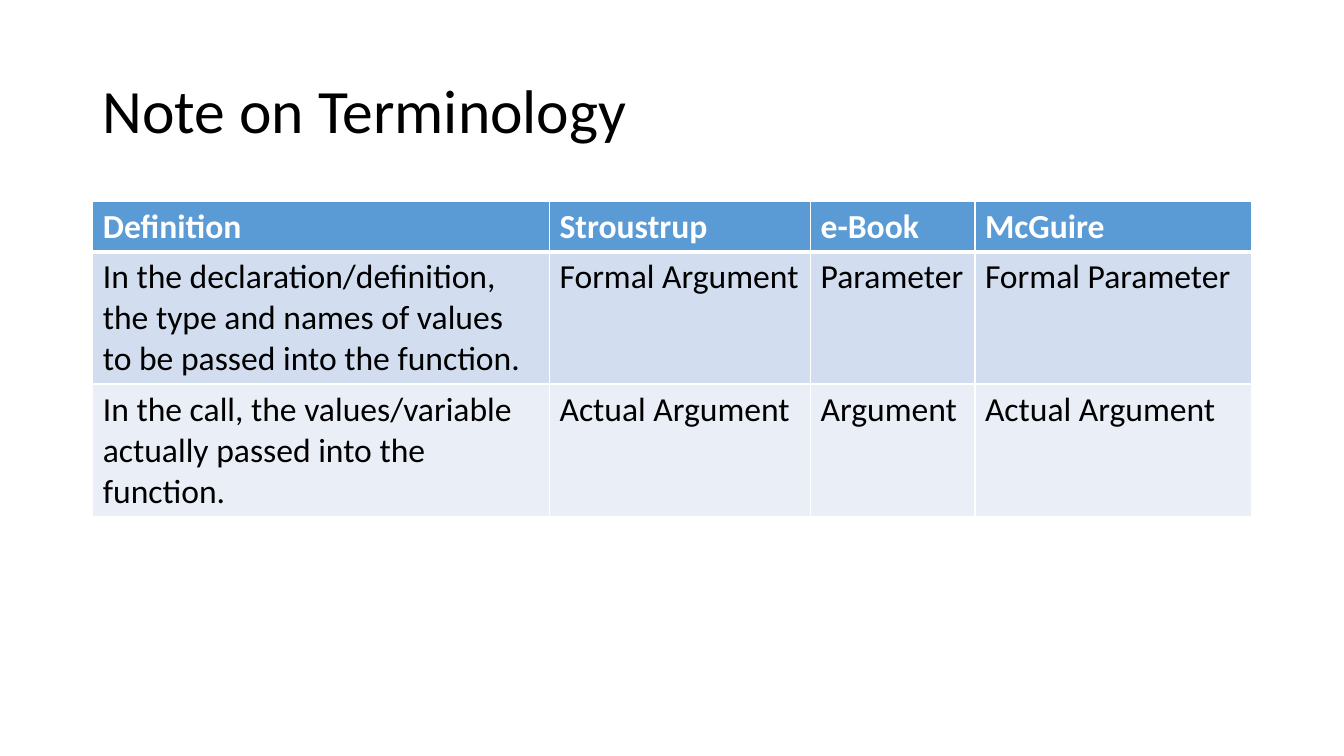
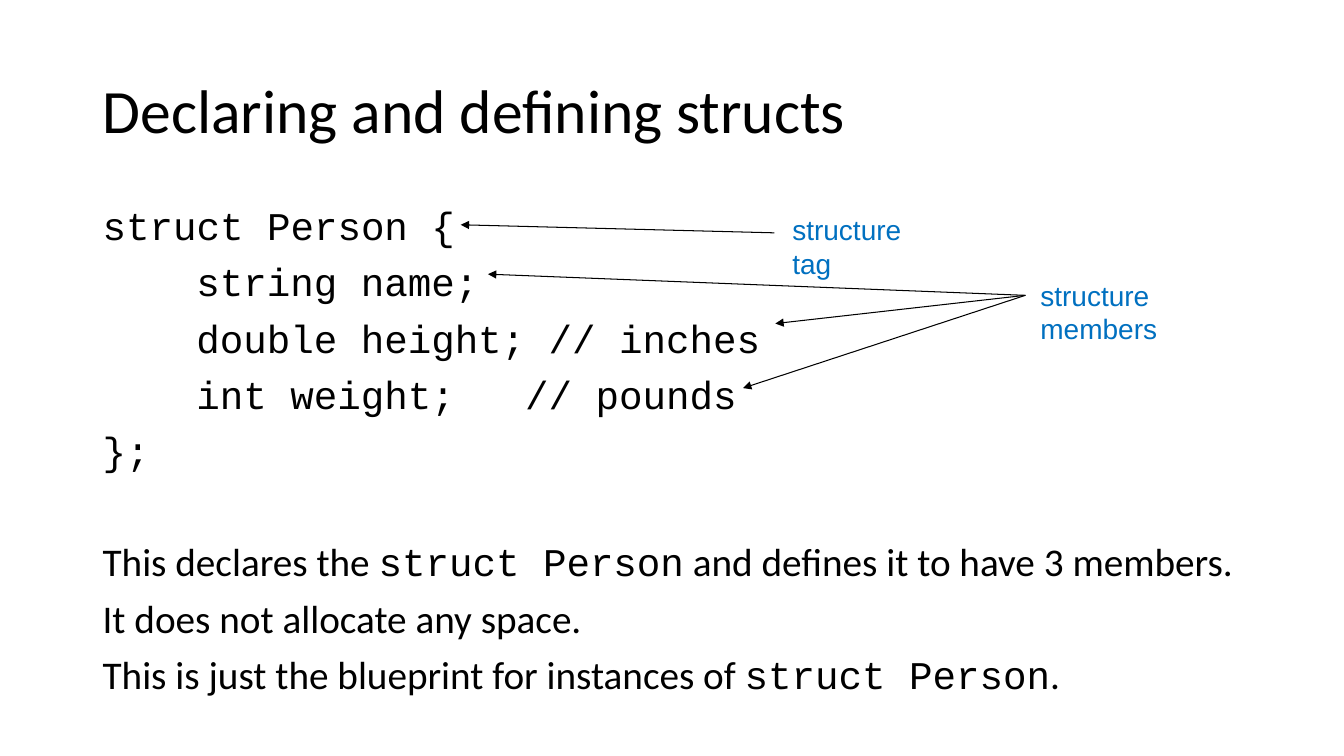
import pptx
import pptx.dml.color
import pptx.enum.shapes
import pptx.enum.text
import pptx.oxml.ns
import pptx.util
from lxml import etree

Inches = pptx.util.Inches
Pt = pptx.util.Pt

BLACK = "000000"
WHITE = "FFFFFF"
HEADER_BLUE = "5B9BD5"
BAND_FILLS = ["D2DEEF", "EAEFF7"]
LABEL_BLUE = "0070C0"

BODY_FONT = "Calibri"
CODE_FONT = "Courier New"
LABEL_FONT = "Arial"

LEFT, WIDTH = 0.92, 11.5
CONTENT_TOP = 2
CODE_INDENT = 0.93
BODY_SIZE = 28
LINE_GAP = 10
SECTION_GAP = 49

TERMS = [
    ["Definition", "Stroustrup", "e-Book", "McGuire"],
    ["In the declaration/definition, the type and names of values to be passed into the function.",
     "Formal Argument", "Parameter", "Formal Parameter"],
    ["In the call, the values/variable actually passed into the function.",
     "Actual Argument", "Argument", "Actual Argument"],
]
TERM_COLUMNS = [4.53, 2.59, 1.63, 2.74]
TERM_ROWS = [0.5, 1.31, 1.31]

# Each line of code: indent level, text
CODE = [
    (0, "struct Person {"),
    (1, "string name;"),
    (1, "double height; // inches"),
    (1, "int weight;   // pounds"),
    (0, "};"),
]
# Each sentence: runs of text and font
EXPLANATION = [
    [("This declares the ", BODY_FONT), ("struct Person", CODE_FONT),
     (" and defines it to have 3 members.", BODY_FONT)],
    [("It does not allocate any space.", BODY_FONT)],
    [("This is just the blueprint for instances of ", BODY_FONT),
     ("struct Person", CODE_FONT), (".", BODY_FONT)],
]
TAG_ARROW = ((7.68, 2.31), (4.57, 2.23))
MEMBERS_START = (10.17, 2.93)
MEMBER_ENDS = [(4.84, 2.72), (7.69, 3.21), (7.37, 3.85)]


def color(hex_text):
    return pptx.dml.color.RGBColor.from_string(hex_text)


def add_element(parent, tag, **attributes):
    return etree.SubElement(parent, pptx.oxml.ns.qn(tag), attributes)


def add_run(paragraph, text, size, font=BODY_FONT, fill=BLACK, bold=False):
    run = paragraph.add_run()
    run.text = text
    run.font.size = Pt(size)
    run.font.name = font
    run.font.bold = bold
    run.font.color.rgb = color(fill)


def add_text_frame(slide, left, top, width, height, wrap=True):
    shape = slide.shapes.add_textbox(Inches(left), Inches(top), Inches(width), Inches(height))
    shape.text_frame.word_wrap = wrap
    return shape.text_frame


def add_titled_slide(presentation, title):
    slide = presentation.slides.add_slide(presentation.slide_layouts[6])
    frame = add_text_frame(slide, LEFT, 0.4, WIDTH, 1.45)
    frame.vertical_anchor = pptx.enum.text.MSO_ANCHOR.MIDDLE
    paragraph = frame.paragraphs[0]
    paragraph.line_spacing = 0.9
    add_run(paragraph, title, 44)
    return slide


def set_borders(cell, bottom_width):
    """Draw white cell borders, with a bottom one of its own width."""
    properties = cell._tc.get_or_add_tcPr()
    widths = {"a:lnL": 1, "a:lnR": 1, "a:lnT": 1, "a:lnB": bottom_width}
    for position, (tag, width) in enumerate(widths.items()):
        line = add_element(properties, tag, w=str(Pt(width)))
        fill = add_element(line, "a:solidFill")
        add_element(fill, "a:srgbClr", val=WHITE)
        properties.insert(position, line)


def add_terms_table(slide):
    table = slide.shapes.add_table(
        len(TERMS), len(TERM_COLUMNS), Inches(LEFT), Inches(CONTENT_TOP),
        Inches(sum(TERM_COLUMNS)), Inches(sum(TERM_ROWS))).table
    for column, width in zip(table.columns, TERM_COLUMNS):
        column.width = Inches(width)
    for row, height in zip(table.rows, TERM_ROWS):
        row.height = Inches(height)
    for row_index, texts in enumerate(TERMS):
        is_header = row_index == 0
        row_fill = HEADER_BLUE if is_header else BAND_FILLS[row_index - 1]
        for column_index, text in enumerate(texts):
            cell = table.cell(row_index, column_index)
            cell.fill.solid()
            cell.fill.fore_color.rgb = color(row_fill)
            set_borders(cell, 3 if is_header else 1)
            add_run(cell.text_frame.paragraphs[0], text, 24,
                    fill=WHITE if is_header else BLACK, bold=is_header)


def add_body(slide):
    frame = add_text_frame(slide, LEFT, CONTENT_TOP, WIDTH, 5.5)
    lines = [(level, [(text, CODE_FONT)]) for level, text in CODE]
    lines += [(0, runs) for runs in EXPLANATION]
    for index, (level, runs) in enumerate(lines):
        paragraph = frame.add_paragraph() if index else frame.paragraphs[0]
        paragraph.line_spacing = 0.9
        paragraph.space_before = Pt(SECTION_GAP if index == len(CODE) else LINE_GAP)
        if level:
            paragraph._p.get_or_add_pPr().set("marL", str(Inches(level * CODE_INDENT)))
        for text, font in runs:
            add_run(paragraph, text, BODY_SIZE, font)


def add_label(slide, text, left, top, width, wrap):
    frame = add_text_frame(slide, left, top, width, 0.43, wrap)
    add_run(frame.paragraphs[0], text, 20, LABEL_FONT, LABEL_BLUE)


def add_arrow(slide, start, end):
    connector = slide.shapes.add_connector(
        pptx.enum.shapes.MSO_CONNECTOR.STRAIGHT,
        *(Inches(value) for value in start + end))
    connector.line.color.rgb = color(BLACK)
    connector.line.width = Pt(0.75)
    add_element(connector.line._get_or_add_ln(), "a:tailEnd", type="triangle")
    add_element(connector._element.spPr, "a:effectLst")


def main():
    presentation = pptx.Presentation()
    presentation.slide_width = Inches(13.33)
    presentation.slide_height = Inches(7.5)

    add_terms_table(add_titled_slide(presentation, "Note on Terminology"))

    structs = add_titled_slide(presentation, "Declaring and defining structs")
    add_body(structs)
    add_label(structs, "structure tag", 7.76, 2.06, 1.74, wrap=False)
    add_arrow(structs, *TAG_ARROW)
    add_label(structs, "structure members", 10.22, 2.71, 2.0, wrap=True)
    for end in MEMBER_ENDS:
        add_arrow(structs, MEMBERS_START, end)

    presentation.save("out.pptx")


if __name__ == "__main__":
    main()
